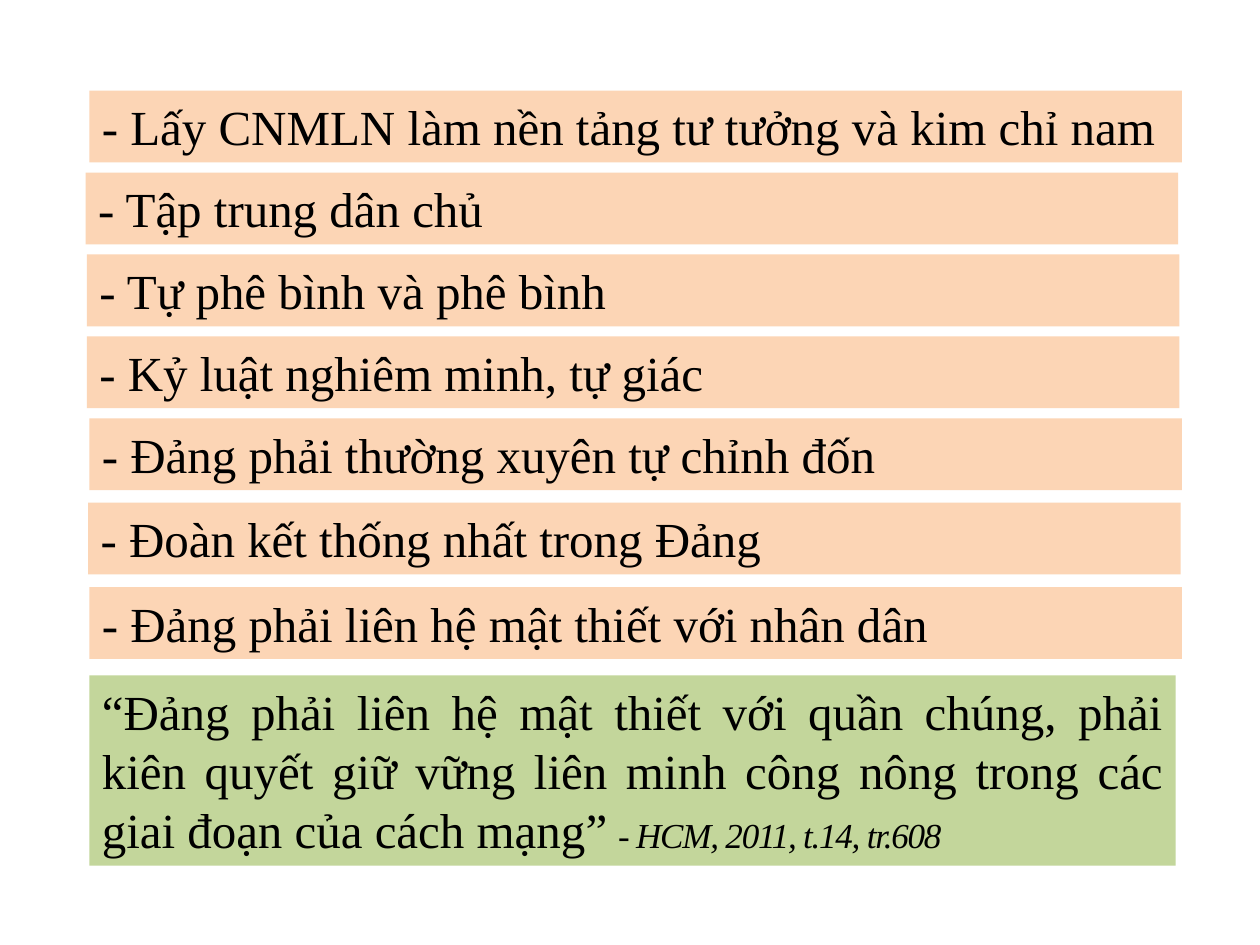
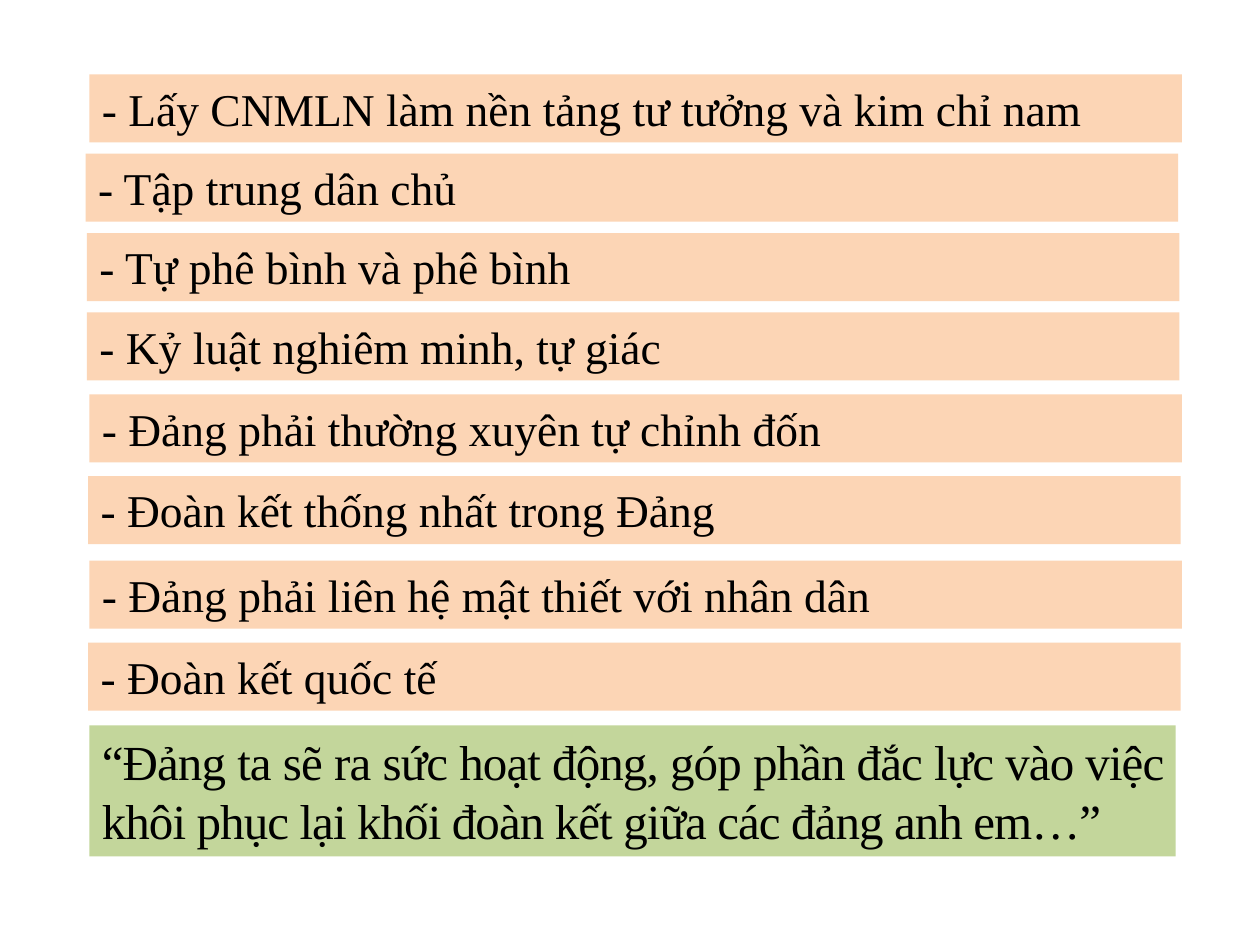
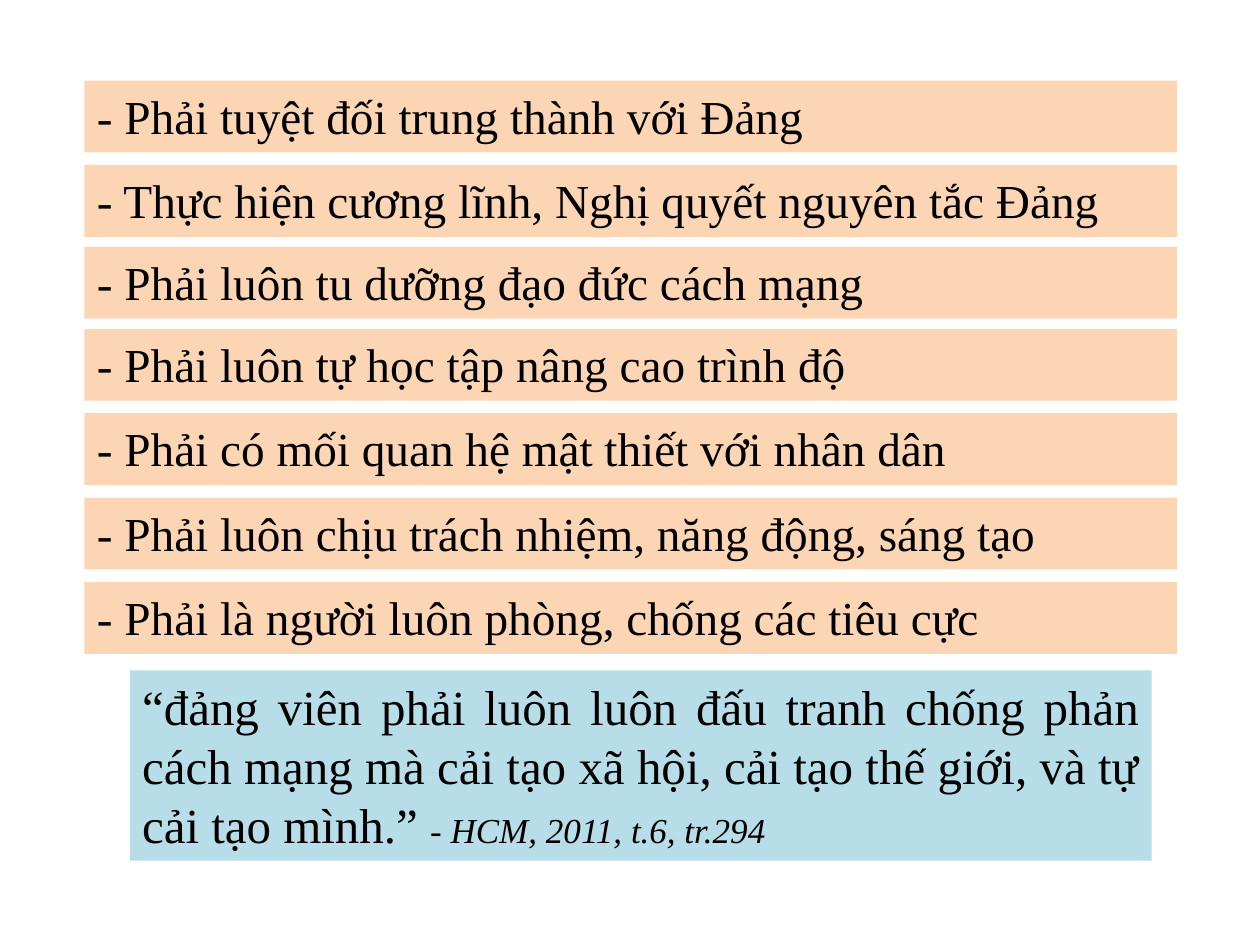
from dataclasses import dataclass
from itertools import accumulate

from pptx import Presentation
from pptx import util as u
from pptx.dml.color import RGBColor
from pptx.enum import shapes, text


@dataclass(frozen=True)
class Theme:
    font: str = "Times New Roman"
    ink: RGBColor = RGBColor(0x00, 0x00, 0x00)
    peach: RGBColor = RGBColor(0xFC, 0xD5, 0xB5)
    green: RGBColor = RGBColor(0xC3, 0xD6, 0x9B)
    blue: RGBColor = RGBColor(0xB7, 0xDE, 0xE8)
    quote_size: int = 28
    citation_size: int = 20
    bar_width: float = 624.24


THEME = Theme()
LEFT = text.PP_ALIGN.LEFT
JUSTIFY = text.PP_ALIGN.JUSTIFY

# Bar wording
PRINCIPLES = [
    "- Lấy CNMLN làm nền tảng tư tưởng và kim chỉ nam",
    "- Tập trung dân chủ",
    "- Tự phê bình và phê bình",
    "- Kỷ luật nghiêm minh, tự giác",
    "- Đảng phải thường xuyên tự chỉnh đốn",
    "- Đoàn kết thống nhất trong Đảng",
    "- Đảng phải liên hệ mật thiết với nhân dân",
]
SOLIDARITY = "- Đoàn kết quốc tế"
MEMBER_DUTIES = [
    "- Phải tuyệt đối trung thành với Đảng",
    "- Thực hiện cương lĩnh, Nghị quyết nguyên tắc Đảng",
    "- Phải luôn tu dưỡng đạo đức cách mạng",
    "- Phải luôn tự học tập nâng cao trình độ",
    "- Phải có mối quan hệ mật thiết với nhân dân",
    "- Phải luôn chịu trách nhiệm, năng động, sáng tạo",
    "- Phải là người luôn phòng, chống các tiêu cực",
]

# Left edges of the principle bars, in points
PRINCIPLE_LEFTS = [51.12, 48.96, 49.68, 49.68, 51.12, 50.4, 51.12, 50.4]


def add_panel(slide, left, top, width, height, fill, alignment):
    """Add a filled rectangle and return its empty paragraph."""
    shape = slide.shapes.add_shape(
        shapes.MSO_SHAPE.RECTANGLE,
        u.Pt(left), u.Pt(top), u.Pt(width), u.Pt(height))
    shape.shadow.inherit = False
    shape.fill.solid()
    shape.fill.fore_color.rgb = fill
    shape.line.fill.background()
    frame = shape.text_frame
    frame.word_wrap = True
    frame.auto_size = text.MSO_AUTO_SIZE.SHAPE_TO_FIT_TEXT
    frame.vertical_anchor = text.MSO_ANCHOR.TOP
    paragraph = frame.paragraphs[0]
    paragraph.alignment = alignment
    return paragraph


def style_font(font, size):
    font.name = THEME.font
    font.size = u.Pt(size)
    font.color.rgb = THEME.ink


def add_bars(slide, lines, lefts, first_top, pitches, height, size, alignment):
    """Stack one bar per line; pitches are the steps between bar tops."""
    tops = accumulate(pitches, initial=first_top)
    for line, left, top in zip(lines, lefts, tops):
        paragraph = add_panel(slide, left, top, THEME.bar_width, height,
                              THEME.peach, alignment)
        paragraph.add_run().text = line
        style_font(paragraph.font, size)


def add_quote(slide, left, top, width, height, fill, parts):
    """Add a quote panel; each part is (wording, size, italic, spacing)."""
    paragraph = add_panel(slide, left, top, width, height, fill, JUSTIFY)
    style_font(paragraph.font, THEME.quote_size)
    for wording, size, italic, spacing in parts:
        run = paragraph.add_run()
        run.text = wording
        run.font.size = u.Pt(size)
        run.font.italic = italic
        if spacing:  # hundredths of a point
            run._r.get_or_add_rPr().set("spc", str(spacing))


def add_blank_slide(presentation):
    return presentation.slides.add_slide(presentation.slide_layouts[6])


def build_close_ties(presentation):
    slide = add_blank_slide(presentation)
    add_bars(slide, PRINCIPLES, PRINCIPLE_LEFTS, 51.84,
             [46.8] * 4 + [48.24] * 2, 41.04, 28, LEFT)
    add_quote(slide, 51.12, 386, 620.64, 108.72, THEME.green, [
        ("“", THEME.quote_size, False, -70),
        ("Đảng phải liên hệ mật thiết với quần chúng, phải kiên quyết giữ "
         "vững liên minh công nông trong các giai đoạn của cách mạng",
         THEME.quote_size, False, 0),
        ("” ", THEME.quote_size, False, -70),
        ("- HCM, 2011, t.14, tr.608", THEME.citation_size, True, -70),
    ])


def build_solidarity(presentation):
    slide = add_blank_slide(presentation)
    add_bars(slide, PRINCIPLES + [SOLIDARITY], PRINCIPLE_LEFTS, 42.48,
             [45.36] * 3 + [46.8] * 2 + [48.24, 46.8], 38.88, 26, LEFT)
    add_quote(slide, 51.12, 414.5, 620.64, 74.88, THEME.green, [
        ("“Đảng ta sẽ ra sức hoạt động, góp phần đắc lực vào việc khôi phục "
         "lại khối đoàn kết giữa các đảng anh em…”",
         THEME.quote_size, False, -50),
    ])


def build_member_duties(presentation):
    slide = add_blank_slide(presentation)
    add_bars(slide, MEMBER_DUTIES, [48.24] * len(MEMBER_DUTIES), 46.08,
             [48.24] + [46.8] * 2 + [48.24] * 3, 41.04, 27, JUSTIFY)
    add_quote(slide, 74.16, 383.04, 583.92, 108.72, THEME.blue, [
        ("“đảng viên phải luôn luôn đấu tranh chống phản cách mạng mà cải "
         "tạo xã hội, cải tạo thế giới, và tự cải tạo mình.” ",
         THEME.quote_size, False, 0),
        ("-", THEME.citation_size, False, 0),
        (" HCM, 2011, t.6, tr.294", THEME.citation_size, True, 0),
    ])


def main():
    presentation = Presentation()
    presentation.slide_width = u.Pt(720)
    presentation.slide_height = u.Pt(540)
    build_close_ties(presentation)
    build_solidarity(presentation)
    build_member_duties(presentation)
    presentation.save("out.pptx")


if __name__ == "__main__":
    main()
